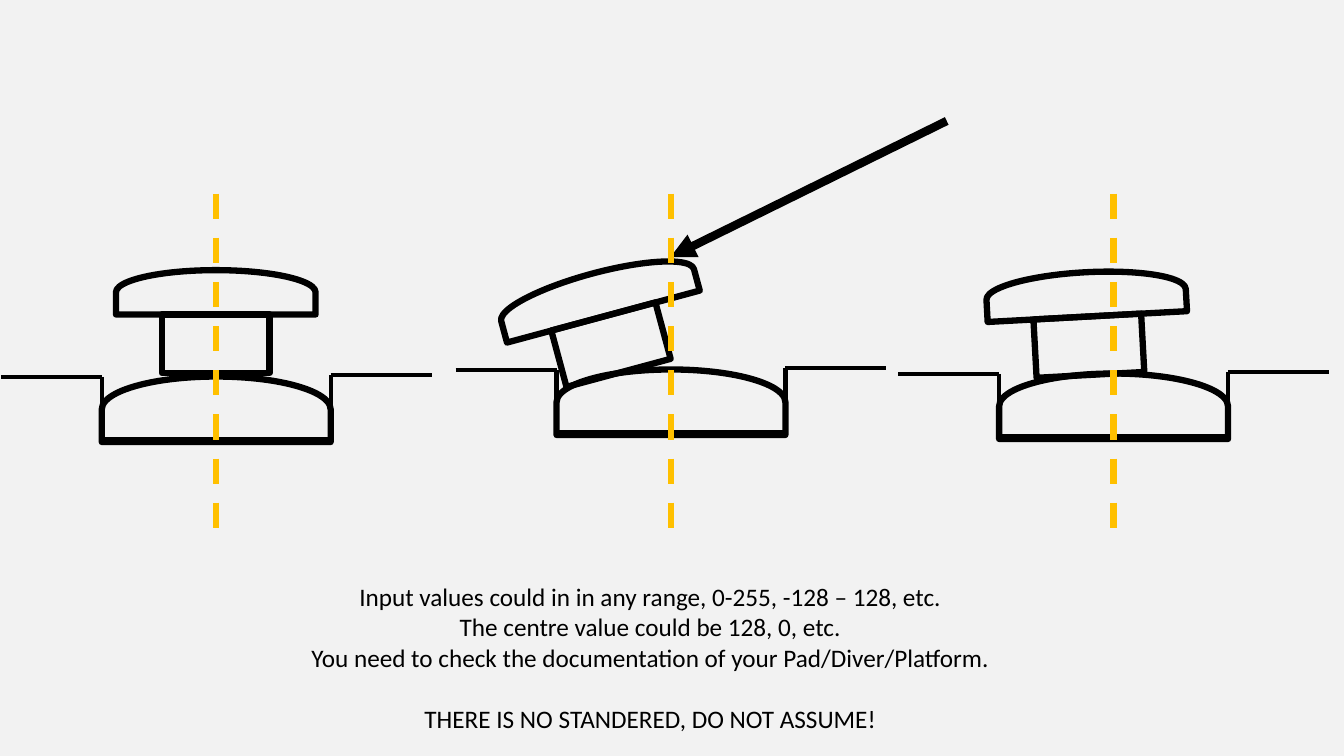
from dataclasses import dataclass
from math import cos, radians, sin

from lxml import etree
from pptx import Presentation
from pptx.dml.color import RGBColor
from pptx.enum.dml import MSO_LINE
from pptx.enum.shapes import MSO_CONNECTOR, MSO_SHAPE
from pptx.enum.text import MSO_AUTO_SIZE, PP_ALIGN
from pptx.oxml.ns import qn
from pptx.util import Inches, Pt

STRAIGHT = MSO_CONNECTOR.STRAIGHT
RECTANGLE = MSO_SHAPE.RECTANGLE
DELAY = MSO_SHAPE.FLOWCHART_DELAY
DASH = MSO_LINE.DASH
CENTER = PP_ALIGN.CENTER
GROW = MSO_AUTO_SIZE.SHAPE_TO_FIT_TEXT


@dataclass(frozen=True)
class Theme:
    background: RGBColor = RGBColor(0xF2, 0xF2, 0xF2)
    ink: RGBColor = RGBColor(0, 0, 0)
    axis: RGBColor = RGBColor(0xFF, 0xC0, 0)
    font: str = "Calibri"
    text_size: float = 18
    blank_line: float = 22
    outline: float = 4.5
    casing: float = 3
    arrow: float = 6


THEME = Theme()


def add_line(shapes, start, end, color=THEME.ink, width=THEME.casing, dash=None, arrow=False):
    connector = shapes.add_connector(STRAIGHT, *(Inches(value) for value in (*start, *end)))
    connector.line.color.rgb = color
    connector.line.width = Pt(width)
    if dash is not None:
        connector.line.dash_style = dash
    if arrow:
        etree.SubElement(connector.line._get_or_add_ln(), qn("a:tailEnd"), type="triangle")
    etree.SubElement(connector._element.spPr, qn("a:effectLst"))


def add_outline(shapes, kind, center, size, rotation):
    left, top = (middle - length / 2 for middle, length in zip(center, size))
    shape = shapes.add_shape(kind, *(Inches(value) for value in (left, top, *size)))
    shape.rotation = rotation
    shape.shadow.inherit = False
    shape.fill.background()
    shape.line.color.rgb = THEME.ink
    shape.line.width = Pt(THEME.outline)


def add_text(paragraph, text, size=THEME.text_size, color=THEME.ink, align=CENTER, before=0):
    paragraph.alignment = align
    if before:
        paragraph.space_before = Pt(before)
    run = paragraph.add_run()
    run.text = text
    run.font.name = THEME.font
    run.font.size = Pt(size)
    run.font.color.rgb = color


def add_stick(slide, box, ground, stem, tilt=0, push=None):
    left, top, width, height = box
    shapes = slide.shapes.add_group_shape().shapes
    center = left + width / 2
    ground_y = top + ground
    floor_y = ground_y + 0.62
    right_y = ground_y - 0.02
    wall_left, wall_right = left + 1, left + width - 1

    stem_x, stem_y = left + stem[0], top + stem[1]
    reach, angle = 0.51, radians(tilt)
    cap = (stem_x - reach * sin(angle), stem_y - reach * cos(angle))
    add_outline(shapes, RECTANGLE, (stem_x, stem_y), (1.07, 0.58), -tilt)
    add_outline(shapes, DELAY, cap, (0.44, 1.98), 270 - tilt)

    casing = (
        ((left, ground_y), (wall_left, ground_y)),
        ((wall_left, ground_y), (wall_left, floor_y + 0.02)),
        ((wall_left, floor_y), (wall_right, floor_y)),
        ((wall_right, right_y), (wall_right, floor_y)),
        ((wall_right, right_y), (left + width, right_y)),
    )
    for start, end in casing:
        add_line(shapes, start, end)
    add_outline(shapes, DELAY, (center, ground_y + 0.32), (0.65, 2.27), 270)

    if push:
        start, end = ((left + x, top + y) for x, y in push)
        add_line(shapes, start, end, width=THEME.arrow, arrow=True)
    add_line(shapes, (center, top), (center, top + height),
             color=THEME.axis, width=THEME.outline, dash=DASH)


def add_notice(slide, box, lines, warning):
    frame = slide.shapes.add_textbox(*(Inches(value) for value in box)).text_frame
    frame.word_wrap = True
    frame.auto_size = GROW
    add_text(frame.paragraphs[0], lines[0])
    for line in lines[1:]:
        add_text(frame.add_paragraph(), line)
    add_text(frame.add_paragraph(), warning, before=THEME.blank_line)


def build_stick_slide(presentation):
    slide = presentation.slides.add_slide(presentation.slide_layouts[6])
    slide.background.fill.solid()
    slide.background.fill.fore_color.rgb = THEME.background

    top, width, height = 1.92, 4.27, 3.36
    add_stick(slide, (0.01, top, width, height), ground=1.82, stem=(2.13, 1.49))
    add_stick(slide, (4.52, top, width, height), ground=1.75, stem=(1.54, 1.5),
              tilt=15.1, push=((4.87, -0.72), (2.13, 0.63)))
    add_stick(slide, (8.91, top, width, height), ground=1.79, stem=(1.89, 1.51), tilt=3.1)
    add_notice(
        slide,
        (1.72, 5.72, 9.46, 1.62),
        (
            "Input values could in in any range, 0-255, -128 – 128, etc.",
            "The centre value could be 128, 0, etc.",
            "You need to check the documentation of your Pad/Diver/Platform.",
        ),
        "THERE IS NO STANDERED, DO NOT ASSUME!",
    )


def main():
    presentation = Presentation()
    presentation.slide_width = Inches(13.33)
    presentation.slide_height = Inches(7.5)
    build_stick_slide(presentation)
    presentation.save("out.pptx")


if __name__ == "__main__":
    main()
